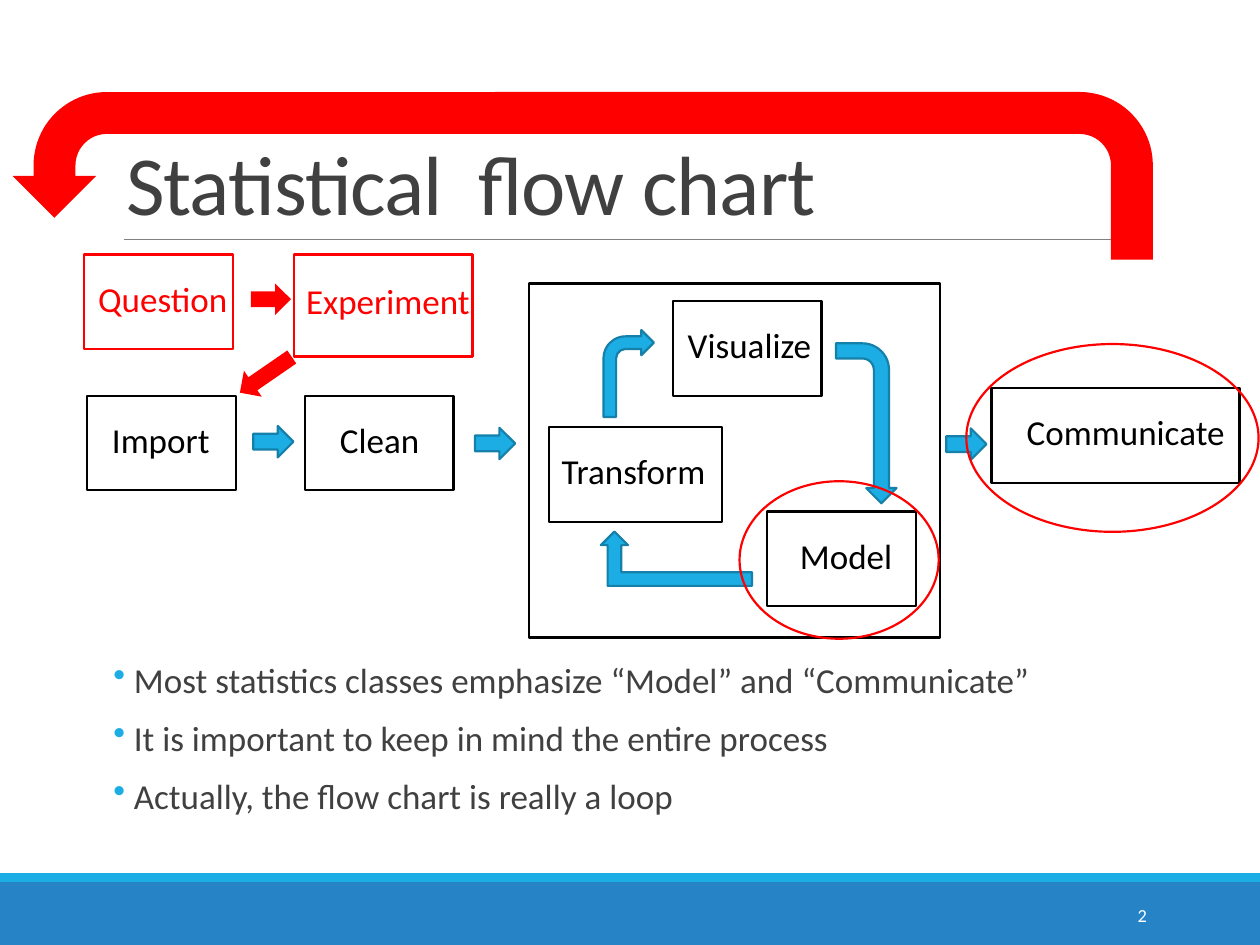
from dataclasses import dataclass
from typing import Optional

from lxml.etree import SubElement
from pptx import Presentation
from pptx.dml.color import RGBColor
from pptx.enum.shapes import MSO_CONNECTOR, MSO_SHAPE
from pptx.enum.text import MSO_ANCHOR, MSO_AUTO_SIZE, PP_ALIGN
from pptx.oxml.ns import qn
from pptx.util import Pt


@dataclass(frozen=True)
class Theme:
    font: str = "Calibri"
    ink: str = "000000"
    heading: str = "404040"
    rule: str = "808080"
    alert: str = "FF0000"
    accent: str = "1CADE4"
    accent_edge: str = "1580A9"
    footer: str = "2683C6"
    white: str = "FFFFFF"
    title_size: float = 48
    text_size: float = 20
    number_size: float = 10.5
    outline: float = 1.25


@dataclass(frozen=True)
class Area:
    left: float
    top: float
    width: float
    height: float

    def lengths(self) -> tuple:
        return Pt(self.left), Pt(self.top), Pt(self.width), Pt(self.height)


THEME = Theme()


@dataclass(frozen=True)
class Stage:
    name: str
    box: Area
    label_left: float
    label_width: float
    color: str = THEME.ink
    label_drop: float = 9.4
    wrap: bool = False


@dataclass(frozen=True)
class Arrow:
    kind: MSO_SHAPE
    area: Area
    fill: str = THEME.accent
    line: Optional[str] = THEME.accent_edge
    rotation: float = 0
    flipped: bool = False


STAGES = [
    Stage("Import", Area(49.7, 226.1, 85, 54), 56.9, 70.6),
    Stage("Clean", Area(174.2, 226.1, 85, 54), 187.2, 60.5),
    Stage("Model", Area(438.5, 292.3, 85, 54), 450, 67.7),
    Stage("Communicate", Area(566.6, 221.8, 141.8, 54), 579.6, 128.9),
    Stage("Transform", Area(313.9, 244.1, 98.6, 54), 313.9, 97.2),
    Stage("Visualize", Area(384.5, 172.1, 85, 54), 385.9, 85.7),
    Stage("Question", Area(48.2, 145.4, 85, 54), 49, 106.6, THEME.alert, wrap=True),
    Stage("Experiment", Area(167.8, 145.4, 102.2, 58.3), 167.8, 108.7, THEME.alert, 10.8),
]

ARROWS = [
    Arrow(MSO_SHAPE.BENT_ARROW, Area(449.3, 224.6, 91.4, 34.6), rotation=90),
    Arrow(MSO_SHAPE.RIGHT_ARROW, Area(144.7, 243.4, 23, 18)),
    Arrow(MSO_SHAPE.RIGHT_ARROW, Area(271.4, 244.4, 23, 18)),
    Arrow(MSO_SHAPE.RIGHT_ARROW, Area(540.7, 244.8, 23, 18)),
    Arrow(MSO_SHAPE.BENT_ARROW, Area(344.9, 188.6, 28.8, 49.7)),
    Arrow(MSO_SHAPE.BENT_UP_ARROW, Area(343.4, 303.8, 86.4, 31), flipped=True),
    Arrow(MSO_SHAPE.RIGHT_ARROW, Area(143.3, 162, 23, 18), THEME.alert, None),
    Arrow(MSO_SHAPE.RIGHT_ARROW, Area(133.9, 205.2, 36, 18), THEME.alert, None, 145.5),
    Arrow(MSO_SHAPE.U_TURN_ARROW, Area(7.2, 52.6, 651.6, 95.8), THEME.alert, None, flipped=True),
]

EMPHASES = [Area(422.6, 275, 113.8, 90), Area(552.2, 196.6, 167, 107.3)]
LOOP_FRAME = Area(302.4, 162, 234.7, 202.3)
POINTS = [
    "Most statistics classes emphasize “Model” and “Communicate”",
    "It is important to keep in mind the entire process",
    "Actually, the flow chart is really a loop",
]


def add_figure(slide, kind, area: Area, fill: Optional[str] = None, line: Optional[str] = None):
    figure = slide.shapes.add_shape(kind, *area.lengths())
    figure.shadow.inherit = False
    if fill:
        figure.fill.solid()
        figure.fill.fore_color.rgb = RGBColor.from_string(fill)
    else:
        figure.fill.background()
    if line:
        figure.line.color.rgb = RGBColor.from_string(line)
        figure.line.width = Pt(THEME.outline)
    else:
        figure.line.fill.background()
    return figure


def add_run(paragraph, words: str, size: float, color: str):
    run = paragraph.add_run()
    run.text = words
    run.font.name = THEME.font
    run.font.size = Pt(size)
    run.font.color.rgb = RGBColor.from_string(color)
    return run


def add_text_frame(slide, area: Area, wrap: bool = True):
    frame = slide.shapes.add_textbox(*area.lengths()).text_frame
    frame.word_wrap = wrap
    return frame


def add_title(slide) -> None:
    title = slide.shapes.title
    title.left, title.top, title.width, title.height = Area(64.8, 22.3, 594, 114.5).lengths()
    frame = title.text_frame
    frame.auto_size = MSO_AUTO_SIZE.NONE
    frame.vertical_anchor = MSO_ANCHOR.BOTTOM
    heading = frame.paragraphs[0]
    heading.alignment = PP_ALIGN.LEFT
    heading.line_spacing = 0.85
    run = add_run(heading, "Statistical  flow chart", THEME.title_size, THEME.heading)
    run.font._element.set("spc", "-50")


def add_furniture(slide) -> None:
    add_figure(slide, MSO_SHAPE.RECTANGLE, Area(0, 504, 720, 36), THEME.footer)
    add_figure(slide, MSO_SHAPE.RECTANGLE, Area(0, 499, 720, 5), THEME.accent)
    rule = slide.shapes.add_connector(
        MSO_CONNECTOR.STRAIGHT, Pt(70.6), Pt(136.8), Pt(658.8), Pt(136.8)
    )
    rule.line.color.rgb = RGBColor.from_string(THEME.rule)
    rule.line.width = Pt(0.5)
    SubElement(rule._element.spPr, qn("a:effectLst"))
    frame = add_text_frame(slide, Area(584.6, 508.3, 77.8, 28.8))
    frame.vertical_anchor = MSO_ANCHOR.MIDDLE
    frame.paragraphs[0].alignment = PP_ALIGN.RIGHT
    add_run(frame.paragraphs[0], "2", THEME.number_size, THEME.white)


def add_stage(slide, stage: Stage) -> None:
    add_figure(slide, MSO_SHAPE.RECTANGLE, stage.box, line=stage.color)
    label = Area(stage.label_left, stage.box.top + stage.label_drop, stage.label_width, 31.7)
    frame = add_text_frame(slide, label, stage.wrap)
    frame.auto_size = MSO_AUTO_SIZE.SHAPE_TO_FIT_TEXT
    add_run(frame.paragraphs[0], stage.name, THEME.text_size, stage.color)


def add_arrow(slide, arrow: Arrow) -> None:
    figure = add_figure(slide, arrow.kind, arrow.area, arrow.fill, arrow.line)
    figure.rotation = arrow.rotation
    if arrow.flipped:
        figure._element.spPr.find(qn("a:xfrm")).set("flipH", "1")


def add_points(slide) -> None:
    frame = add_text_frame(slide, Area(64.8, 377.3, 594, 99.4))
    frame.margin_left = frame.margin_right = 0
    for index, point in enumerate(POINTS):
        paragraph = frame.add_paragraph() if index else frame.paragraphs[0]
        paragraph.line_spacing = 0.8
        paragraph.space_before = Pt(12 if index else 0)
        paragraph.space_after = Pt(2)
        properties = paragraph._p.get_or_add_pPr()
        properties.set("marL", str(Pt(11.7)))
        properties.set("indent", str(-Pt(11.7)))
        bullet_color = SubElement(properties, qn("a:buClr"))
        SubElement(bullet_color, qn("a:srgbClr"), val=THEME.accent)
        SubElement(properties, qn("a:buChar"), char="•")
        add_run(paragraph, point, THEME.text_size, THEME.heading)


def main() -> None:
    deck = Presentation()
    deck.slide_width, deck.slide_height = Pt(720), Pt(540)
    slide = deck.slides.add_slide(deck.slide_layouts[5])
    add_furniture(slide)
    add_title(slide)
    for stage in STAGES:
        add_stage(slide, stage)
    add_figure(slide, MSO_SHAPE.RECTANGLE, LOOP_FRAME, line=THEME.ink)
    for arrow in ARROWS:
        add_arrow(slide, arrow)
    add_points(slide)
    for emphasis in EMPHASES:
        add_figure(slide, MSO_SHAPE.OVAL, emphasis, line=THEME.alert)
    deck.save("out.pptx")


if __name__ == "__main__":
    main()
